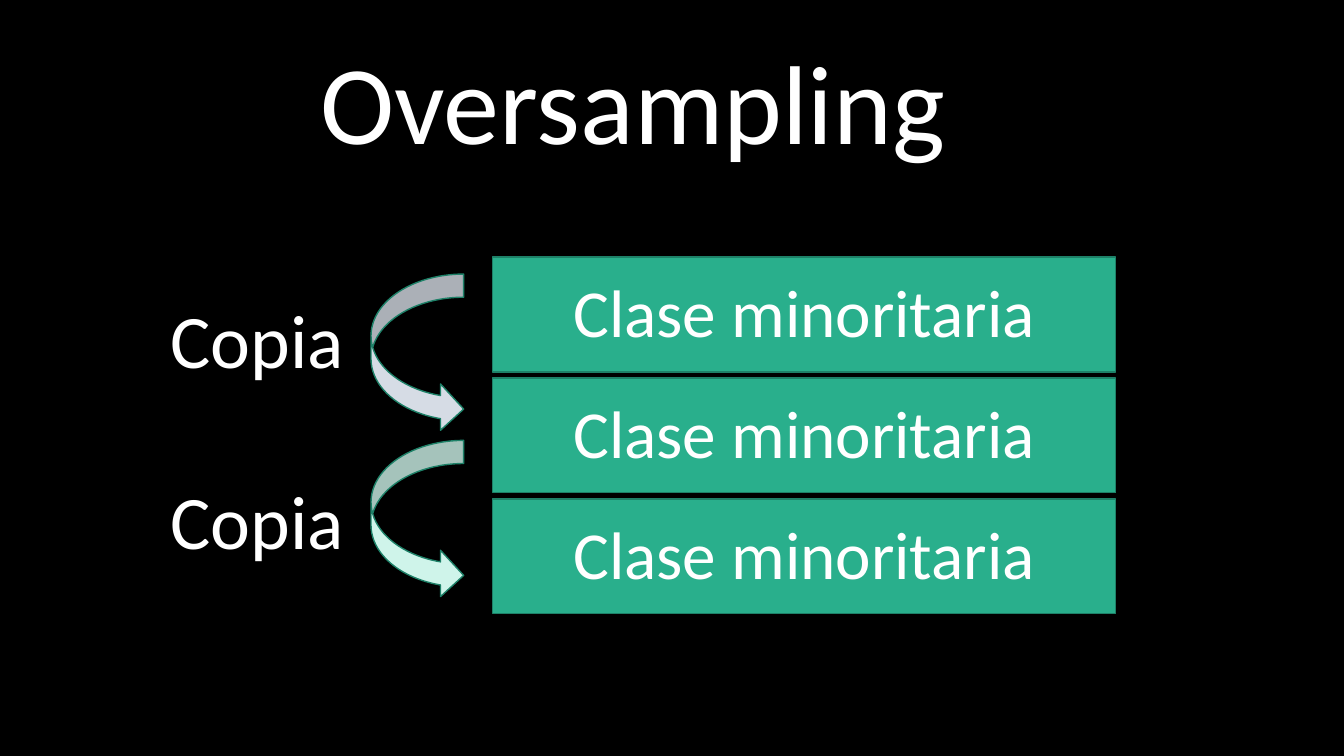
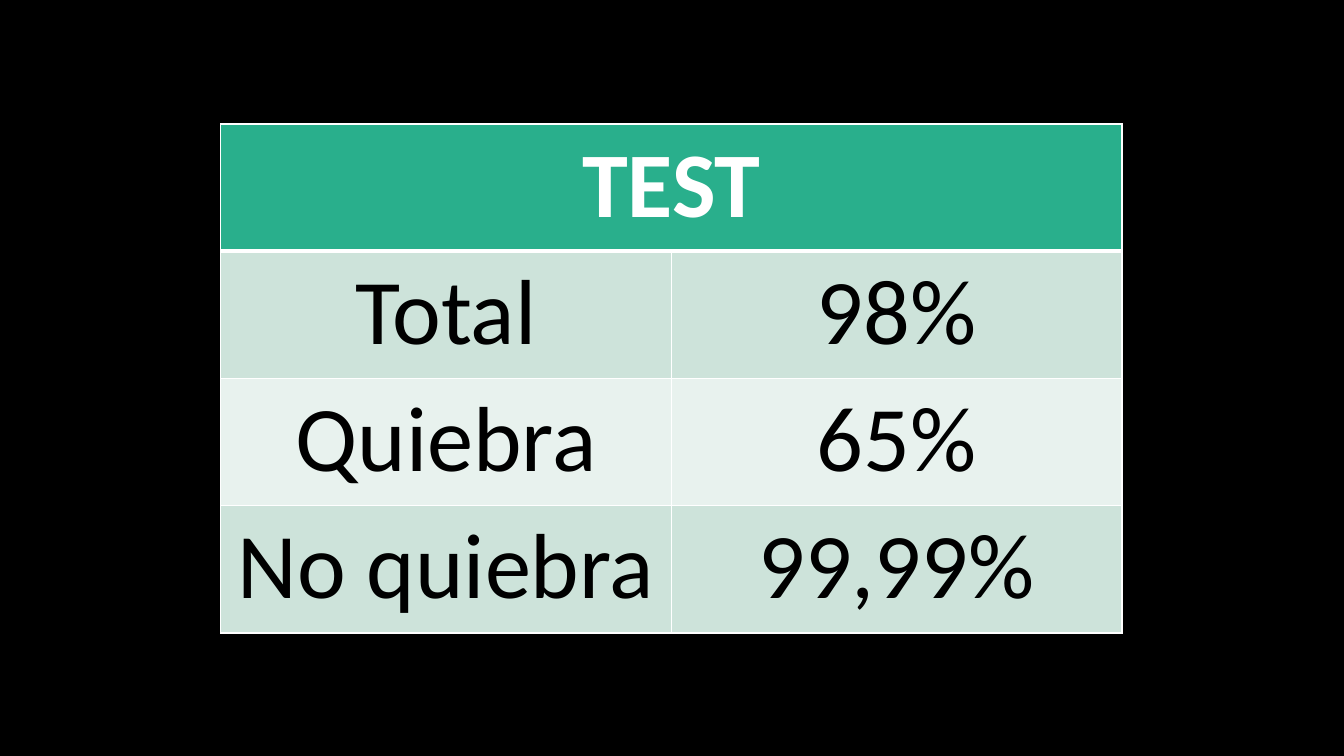
from dataclasses import dataclass

from lxml import etree
from pptx import Presentation
from pptx.dml import color as dml
from pptx.enum import shapes, text
from pptx.oxml import ns
from pptx.util import Pt

FONT = "Calibri"
BLACK, WHITE = "000000", "FFFFFF"
GREEN, EDGE = "29AF8C", "1E8168"
BANDS = ("CDE3DA", "E8F2EE")
LEFT, MID = text.PP_ALIGN.LEFT, text.PP_ALIGN.CENTER


@dataclass(frozen=True)
class Box:
    left: float
    top: float
    width: float
    height: float

    def pts(self) -> tuple:
        return Pt(self.left), Pt(self.top), Pt(self.width), Pt(self.height)


@dataclass(frozen=True)
class Copy:
    """A curved arrow and the label beside it."""
    arrow: float
    label: float
    fill: str


TITLE = Box(209.5, 18.7, 485.3, 104.4)
BAR, STEP = Box(352, 183.6, 445, 82), 86.4
COPIES = (Copy(195.8, 205.9, "D6DCE5"), Copy(314.6, 334.8, "CFF4EA"))
GRID = Box(157.7, 88.6, 643.7, 363.6)
ROWS = (("TEST", ""), ("Total", "98%"), ("Quiebra", "65%"), ("No quiebra", "99,99%"))


def paint(fill, tone: str) -> None:
    fill.solid()
    fill.fore_color.rgb = dml.RGBColor.from_string(tone)


def write(frame, words: str, size: float, align=MID, tone: str = WHITE,
          bold: bool = False) -> None:
    para = frame.paragraphs[0]
    para.alignment = align
    run = para.add_run()
    run.text = words
    run.font.name, run.font.size, run.font.bold = FONT, Pt(size), bold
    paint(run.font.fill, tone)


def add_page(deck, layout: int):
    page = deck.slides.add_slide(deck.slide_layouts[layout])
    paint(page.background.fill, BLACK)
    return page


def add_form(page, kind, box: Box, tone: str):
    form = page.shapes.add_shape(kind, *box.pts())
    form.shadow.inherit = False
    paint(form.fill, tone)
    paint(form.line.fill, EDGE)
    form.line.width = Pt(1)
    return form


def add_bar(page, row: int) -> None:
    box = Box(BAR.left, BAR.top + row * STEP, BAR.width, BAR.height)
    frame = add_form(page, shapes.MSO_SHAPE.RECTANGLE, box, GREEN).text_frame
    frame.vertical_anchor = text.MSO_ANCHOR.MIDDLE
    frame.margin_bottom = Pt(8.6)
    write(frame, "Clase minoritaria", 48)


def add_copy(page, item: Copy) -> None:
    add_form(page, shapes.MSO_SHAPE.CURVED_RIGHT_ARROW,
             Box(265, item.arrow, 66.2, 113), item.fill)
    label = page.shapes.add_textbox(*Box(114.5, item.label, 164.9, 72.7).pts())
    label.text_frame.word_wrap = True
    write(label.text_frame, "Copia", 54, LEFT)


def add_edge(cell, side: str, width: float) -> None:
    """Border one side (L, R, T or B); call before the cell is filled."""
    line = etree.SubElement(cell._tc.get_or_add_tcPr(), ns.qn(f"a:ln{side}"),
                            w=str(Pt(width)))
    solid = etree.SubElement(line, ns.qn("a:solidFill"))
    etree.SubElement(solid, ns.qn("a:srgbClr"), val=WHITE)


def draw_sampling(deck) -> None:
    page = add_page(deck, 5)
    title = page.shapes.title
    title.left, title.top, title.width, title.height = TITLE.pts()
    title.text_frame.auto_size = text.MSO_AUTO_SIZE.NONE
    write(title.text_frame, "Oversampling", 80)
    for row in range(3):
        add_bar(page, row)
    for item in COPIES:
        add_copy(page, item)


def draw_test(deck) -> None:
    page = add_page(deck, 6)
    grid = page.shapes.add_table(len(ROWS), 2, *GRID.pts()).table
    grid.cell(0, 0).merge(grid.cell(0, 1))
    for row, words in enumerate(ROWS):
        head = row == 0
        for col, word in enumerate(words):
            cell = grid.cell(row, col)
            edges = {"L": 1, "R": 1, "T": 3 if row == 1 else 1, "B": 3 if head else 1}
            for side, width in edges.items():
                add_edge(cell, side, width)
            paint(cell.fill, GREEN if head else BANDS[(row - 1) % 2])
            if word:
                write(cell.text_frame, word, 66, tone=WHITE if head else BLACK, bold=head)


def main() -> None:
    deck = Presentation()
    deck.slide_width, deck.slide_height = Pt(960), Pt(540)
    draw_sampling(deck)
    draw_test(deck)
    deck.save("out.pptx")


if __name__ == "__main__":
    main()
